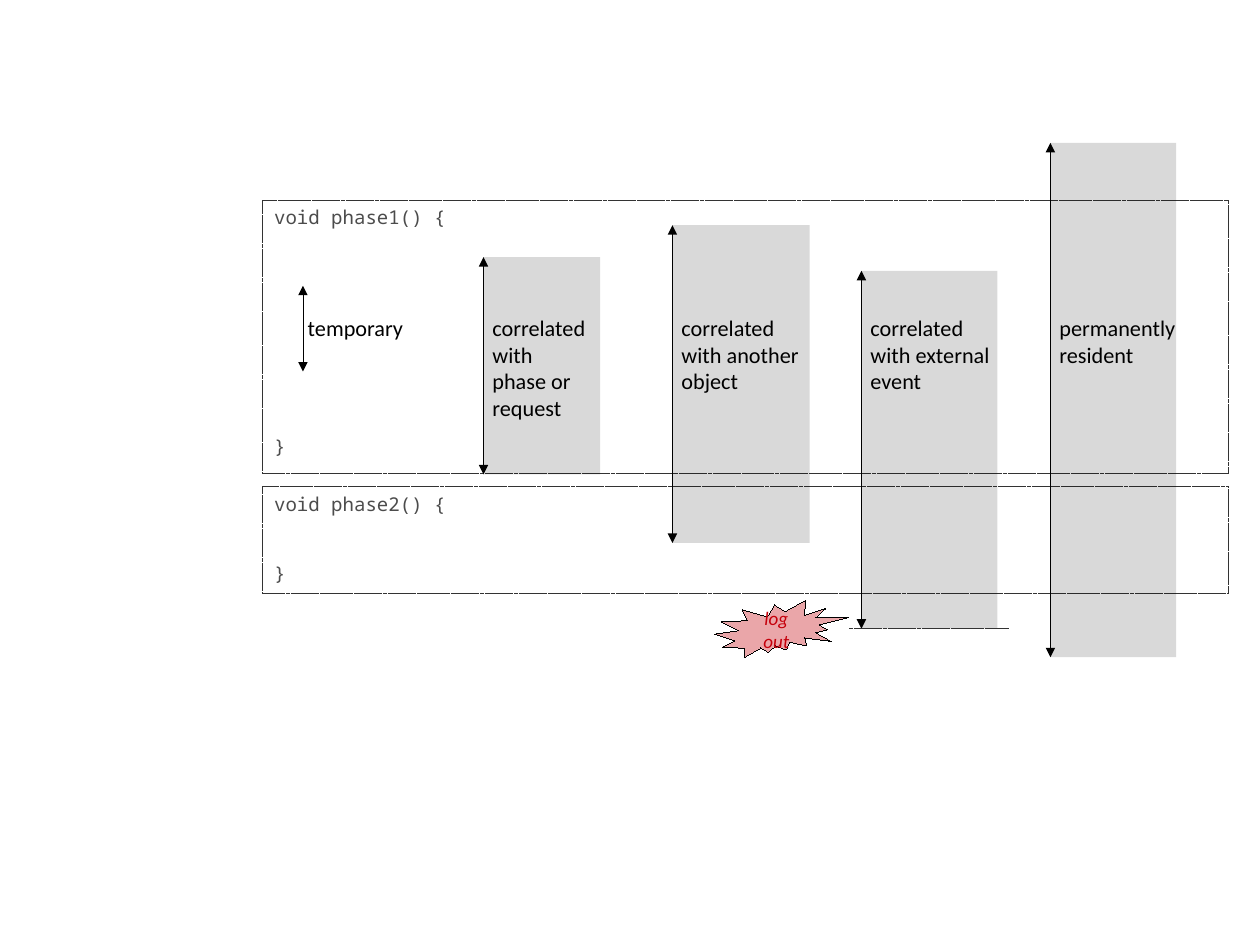
"""Builds a slide on how long objects live across two phases of a program."""
import pptx
import pptx.dml.color
import pptx.enum.dml
import pptx.enum.shapes
import pptx.enum.text
import pptx.oxml.ns
import pptx.util
from lxml import etree

INCH = pptx.util.Inches
KIND = pptx.enum.shapes.MSO_SHAPE
DASH = pptx.enum.dml.MSO_LINE.SQUARE_DOT
ALIGN = pptx.enum.text.PP_ALIGN
ANCHOR = pptx.enum.text.MSO_ANCHOR
RGB = pptx.dml.color.RGBColor.from_string
QN = pptx.oxml.ns.qn
HUES = {"ink": "000000", "edge": "333333", "code": "4C4C4C", "red": "C5000B"}

HAIR = pptx.util.Pt(0.01)
FIRST, LAST = 4.23, 9.19
COL = (LAST - FIRST) / 3
LABEL = 2.7
LEFT = 2.3

deck = pptx.Presentation()
deck.slide_width, deck.slide_height = pptx.util.Cm(28), pptx.util.Cm(21)
slide = deck.slides.add_slide(deck.slide_layouts[6])
shapes = slide.shapes


def block(kind, x, y, wide, high, fill=None, alpha=0, edge=None):
    """Add a preset shape with a sheer fill or none, and a hairline or none."""
    shape = shapes.add_shape(kind, INCH(x), INCH(y), INCH(wide), INCH(high))
    shape.shadow.inherit = False
    if fill:
        shape.fill.solid()
        shape.fill.fore_color.rgb = RGB(HUES[fill])
        tint = next(shape._element.spPr.iter(QN("a:srgbClr")))
        etree.SubElement(tint, QN("a:alpha"), val=str(alpha * 1000))
    else:
        shape.fill.background()
    if edge:
        shape.line.color.rgb = RGB(HUES[edge])
        shape.line.width = HAIR
    else:
        shape.line.fill.background()
    return shape


def rule(x, y, x2, y2, hue, heads):
    """Add a hairline with a head at both ends, or a dashed one without."""
    line = shapes.add_connector(pptx.enum.shapes.MSO_CONNECTOR.STRAIGHT,
                                INCH(x), INCH(y), INCH(x2), INCH(y2))
    line.line.color.rgb = RGB(HUES[hue])
    line.line.width = HAIR
    if heads:
        for end in ("a:headEnd", "a:tailEnd"):
            etree.SubElement(line.line._ln, QN(end), type="triangle")
    else:
        line.line.dash_style = DASH
    etree.SubElement(line._element.spPr, QN("a:effectLst"))


phases = [("void phase1() {", 1.75, 2.39, 129.8),
          ("void phase2() {", 4.26, 0.93, 28.9)]
for head, top, high, gap in phases:
    phase = block(KIND.RECTANGLE, LEFT, top, 8.45, high, edge="edge")
    phase.line.dash_style = DASH
    frame = phase.text_frame
    frame.vertical_anchor = ANCHOR.TOP
    frame.text = head + "\n}"
    for para in frame.paragraphs:
        para.alignment = ALIGN.LEFT
        para.font.name = "Noto Sans Mono"
        para.font.size = pptx.util.Pt(12)
        para.font.color.rgb = RGB(HUES["code"])
    para.space_before = pptx.util.Pt(gap)

spans = [("correlated with phase or request", 2.25, 4.15, 1.02, 1.04),
         ("correlated with another object", 1.97, 4.75, 1.2, 1.32),
         ("correlated with external event", 2.37, 5.5, 1.19, 1.32),
         ("permanently resident", 1.25, 5.75, 1.1, 1.49)]
labels = [("temporary", 2.55, 1.12, ALIGN.CENTER)]
rule(2.65, 2.5, 2.65, 3.25, "ink", True)
for i, (words, top, end, bar, wide) in enumerate(spans):
    x = FIRST + i * COL
    rule(x, top, x, end, "ink", True)
    block(KIND.RECTANGLE, x, top, bar, end - top, "ink", 15)
    labels.append((words, x - 0.02, wide, ALIGN.LEFT))

for words, x, wide, align in labels:
    high = 0.63 if len(words) < 25 else 1.16
    label = shapes.add_textbox(INCH(x), INCH(LABEL), INCH(wide), INCH(high))
    label.text_frame.word_wrap = True
    label.text_frame.text = words
    para = label.text_frame.paragraphs[0]
    para.alignment = align
    para.font.name = "Calibri"
    para.font.size = pptx.util.Pt(14)
    para.font.color.rgb = RGB(HUES["ink"])

rule(7.43, 5.5, 8.83, 5.5, "edge", False)
burst = block(KIND.EXPLOSION2, 6.25, 5.25, 1.17, 0.5, "red", 35, "ink")
burst.text_frame.vertical_anchor = ANCHOR.MIDDLE
burst.text_frame.text = "log out"
para = burst.text_frame.paragraphs[0]
para.alignment = ALIGN.CENTER
para.font.name = "Calibri"
para.font.size = pptx.util.Pt(12)
para.font.italic = True
para.font.color.rgb = RGB(HUES["red"])

deck.save("out.pptx")
